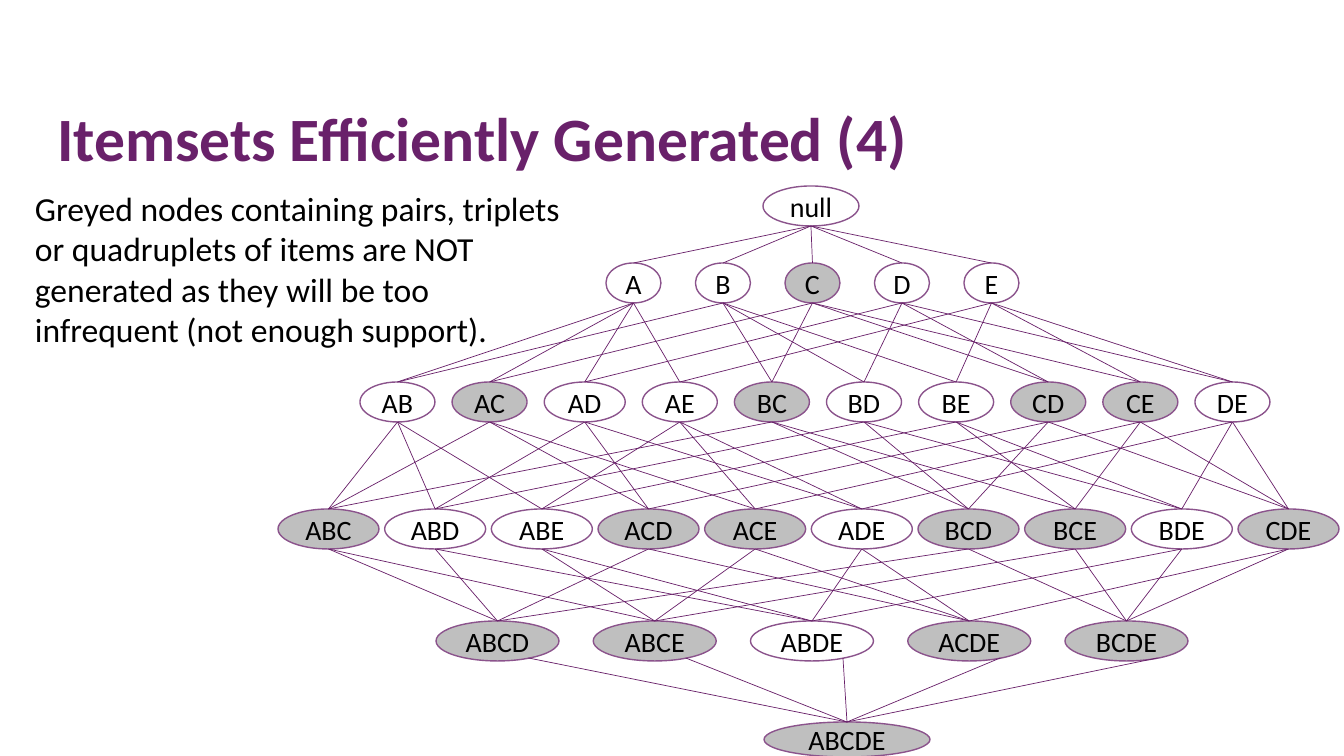
"""Build the itemset lattice slide."""
from itertools import combinations

from pptx import Presentation
from pptx.dml.color import RGBColor
from pptx.enum.shapes import MSO_CONNECTOR as Connector, MSO_SHAPE as Shape
from pptx.enum.text import MSO_ANCHOR as Anchor, MSO_AUTO_SIZE as AutoSize, PP_ALIGN as Align
from pptx.oxml.ns import qn
from pptx.util import Pt
from lxml.etree import SubElement

PURPLE = RGBColor(0x69, 0x21, 0x6A)
OUTLINE = RGBColor(0x8B, 0x53, 0x8C)
GREY = RGBColor(0xBF, 0xBF, 0xBF)
BLACK = RGBColor(0, 0, 0)
SCALE = 914400 / 100.8
ITEMS = "ABCDE"
INFREQUENT = "C"


def px(length):
    """Turn pixels into EMU."""
    return round(length * SCALE)


def write(shape, text, size=20, color=BLACK, bold=False, align=Align.LEFT,
          anchor=Anchor.MIDDLE, wrap=True, spacing=None):
    """Put formatted text into a shape."""
    frame = shape.text_frame
    frame.auto_size = AutoSize.NONE
    frame.word_wrap = wrap
    frame.vertical_anchor = anchor
    paragraph = frame.paragraphs[0]
    paragraph.alignment = align
    paragraph.line_spacing = spacing
    run = paragraph.add_run()
    run.text = text
    run.font.name = "Calibri"
    run.font.size = Pt(size)
    run.font.bold = bold
    run.font.color.rgb = color


class LatticeSlide:
    """Hold the slide and draw its elements in one style."""

    def __init__(self, presentation):
        """Add a slide that has only a title."""
        self.slide = presentation.slides.add_slide(presentation.slide_layouts[5])

    def title(self, text, left, top, width, height):
        """Place and fill the title placeholder."""
        shape = self.slide.shapes.title
        shape.left, shape.top = px(left), px(top)
        shape.width, shape.height = px(width), px(height)
        write(shape, text, size=44, color=PURPLE, bold=True, spacing=0.9)

    def note(self, text, left, top, width, height):
        """Add a wrapped text box."""
        shape = self.slide.shapes.add_textbox(px(left), px(top), px(width), px(height))
        write(shape, text, size=24, anchor=Anchor.TOP)

    def node(self, name, left, top, width, height=40):
        """Add an itemset ellipse, grey when it holds the infrequent item."""
        shape = self.slide.shapes.add_shape(
            Shape.OVAL, px(left), px(top), px(width), px(height))
        shape.shadow.inherit = False
        if INFREQUENT in name:
            shape.fill.solid()
            shape.fill.fore_color.rgb = GREY
        else:
            shape.fill.background()
        shape.line.color.rgb = OUTLINE
        shape.line.width = Pt(1)
        write(shape, name, align=Align.CENTER, wrap=False)
        return shape

    def row(self, names, left, right, top, widths):
        """Add nodes with equal gaps between two outer edges."""
        gap = (right - left - sum(widths)) / (len(names) - 1)
        nodes = {}
        for name, width in zip(names, widths):
            nodes[name] = self.node(name, left, top, width)
            left += width + gap
        return nodes

    def edge(self, upper, lower, shift=0, lift=0):
        """Join the bottom of one node to the top of another."""
        line = self.slide.shapes.add_connector(
            Connector.STRAIGHT,
            upper.left + upper.width // 2 + px(shift), upper.top + upper.height - px(lift),
            lower.left + lower.width // 2, lower.top)
        line.end_connect(lower, 0)
        line.line.color.rgb = PURPLE
        line.line.width = Pt(0.5)
        SubElement(line._element.spPr, qn("a:effectLst"))


def main():
    """Draw the lattice and save the presentation."""
    presentation = Presentation()
    presentation.slide_width, presentation.slide_height = px(1344), px(756)
    lattice = LatticeSlide(presentation)
    lattice.title("Itemsets Efficiently Generated (4)", 47, 100, 1159, 83)
    lattice.note("Greyed nodes containing pairs, triplets or quadruplets of items are NOT "
                 "generated as they will be too infrequent (not enough support).",
                 25, 183, 549, 173)

    null = lattice.node("null", 763, 186, 96)
    bounds = [
        (606, 1019, 263, [55] * 5),
        (360, 1270, 382, [75, 75, 81] + [75] * 7),
        (278, 1339, 509, [101] * 10),
        (436, 1188, 621, [123] * 5),
    ]
    levels = []
    for size, bound in enumerate(bounds, start=1):
        names = ["".join(group) for group in combinations(ITEMS, size)]
        levels.append(lattice.row(names, *bound))
    full = lattice.node(ITEMS, 764, 722, 166, 35)

    for single in levels[0].values():
        lattice.edge(null, single)
    for uppers, lowers in zip(levels, levels[1:]):
        for subset, upper in uppers.items():
            for superset, lower in lowers.items():
                if set(subset) <= set(superset):
                    lattice.edge(upper, lower)
    for quadruplet in levels[-1].values():
        lattice.edge(quadruplet, full, shift=31, lift=3)

    presentation.save("out.pptx")


if __name__ == "__main__":
    main()
